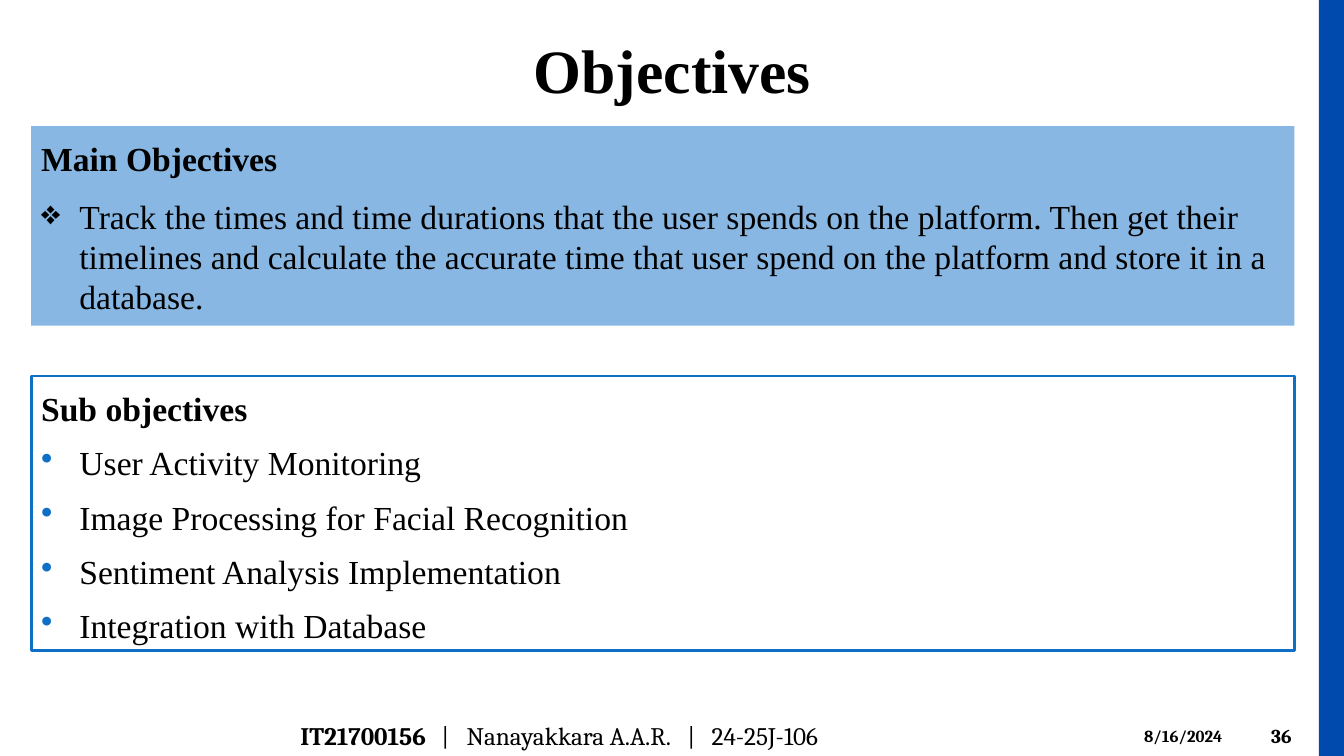
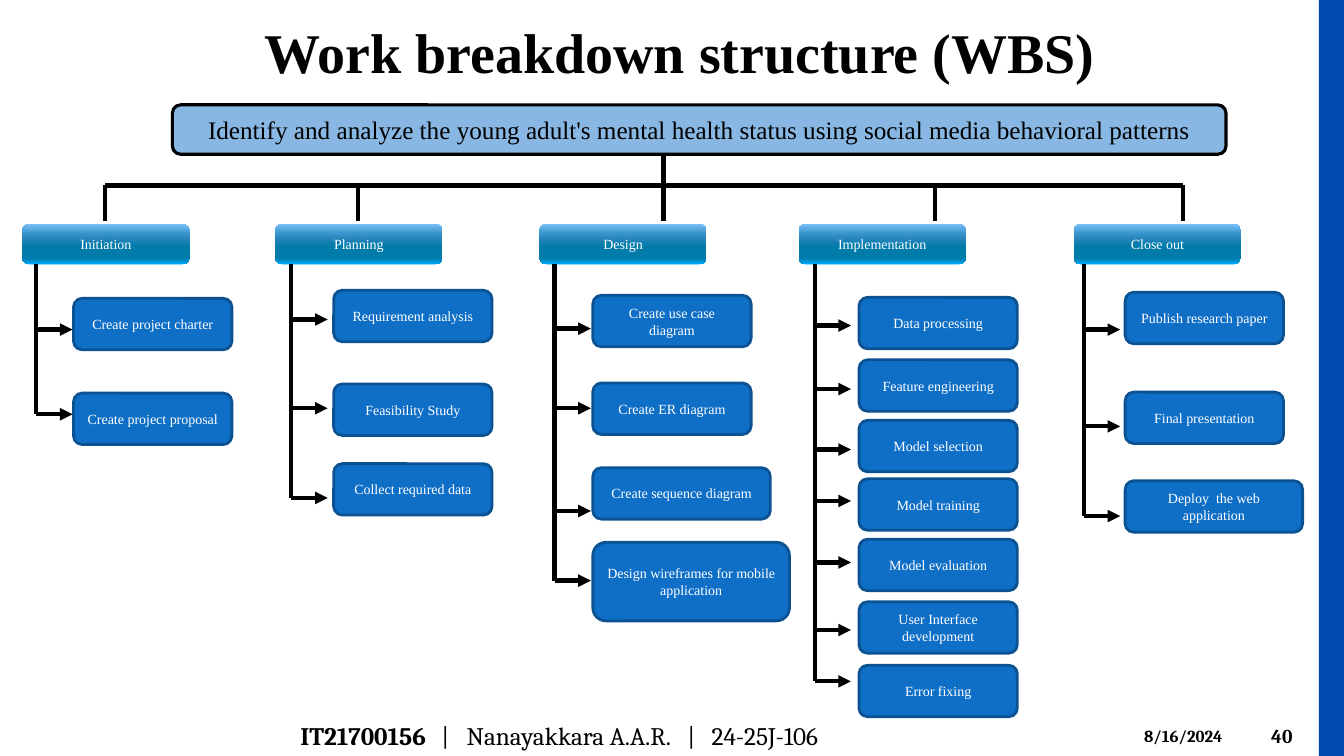
"""Build the objectives and work breakdown structure slides."""
from lxml import etree
from pptx import Presentation
from pptx import util as u
from pptx.dml.color import RGBColor
from pptx.enum import shapes, text
from pptx.oxml.ns import qn

COLORS = {"black": "000000", "white": "FFFFFF", "blue": "0F6FC6",
          "pale": "87B7E2", "edge": "0B5292", "band": "004AAD"}
GLOSS = [(0, "7BC0F9"), (25, "3694CA"), (38, "2685BA"), (55, "007BAA"),
         (80, "007AA9"), (88, "0080B2"), (100, "00ABFC")]
SERIF, FOOT = "Times New Roman", "Cambria"
RECT, ROUND = shapes.MSO_SHAPE.RECTANGLE, shapes.MSO_SHAPE.ROUNDED_RECTANGLE
TOP, MIDDLE = text.MSO_ANCHOR.TOP, text.MSO_ANCHOR.MIDDLE
CENTER = text.PP_ALIGN.CENTER

DATE = "8/16/2024"
FOOTER = ("IT21700156", "\t|\tNanayakkara A.A.R.\t|\t24-25J-106")
FOOTER_TABS = (1.4, 1.65, 3.84, 4.08)

PANELS = [
    {"at": (0.31, 1.25, 12.53, 1.98), "fill": "pale", "line": None,
     "heading": "Main Objectives", "bullet": "❖", "bullet_color": "black",
     "pitch": 28.6, "before": 4.9,
     "items": ["Track the times and time durations that the user spends on the platform. "
               "Then get their timelines and calculate the accurate time that user spend "
               "on the platform and store it in a database."]},
    {"at": (0.31, 3.73, 12.53, 2.72), "fill": "white", "line": "blue",
     "heading": "Sub objectives", "bullet": "•", "bullet_color": "blue",
     "pitch": 30.8, "before": 0,
     "items": ["User Activity Monitoring", "Image Processing for Facial Recognition",
               "Sentiment Analysis Implementation", "Integration with Database"]},
]

PROJECT = ("Identify and analyze the young adult's mental health status "
           "using social media behavioral patterns")
LEAF_SIZE = (1.57, 0.51)
HEAD_TOP, HEAD_SIZE = 2.22, (1.66, 0.4)
BUS_TOP, DROP_END, ARROW = 1.84, 2.19, 0.36
TRUNK_LEFT, TRUNK_TOP = 6.58, 1.54
PHASES = [
    {"name": "Initiation", "left": 0.22, "drop": 1.04, "stem": 0.36, "leaf_left": 0.73,
     "leaves": [("Create project charter", 2.96, 3.27), ("Create project proposal", 3.9, 4.11)]},
    {"name": "Planning", "left": 2.73, "drop": 3.55, "stem": 2.89, "leaf_left": 3.31,
     "leaves": [("Requirement analysis", 2.88, 3.17), ("Feasibility Study", 3.81, 4.05),
                ("Collect required data", 4.6, 4.94)]},
    {"name": "Design", "left": 5.35, "drop": 6.58, "stem": 5.5, "leaf_left": 5.88,
     "leaves": [("Create use case diagram", 2.93, 3.26), ("Create ER diagram", 3.8, 4.05),
                ("Create sequence diagram", 4.64, 5.07, (1.76, 0.51)),
                ("Design wireframes for mobile application", 5.38, 5.76, (1.95, 0.78))]},
    {"name": "Implementation", "left": 7.92, "drop": 9.27, "stem": 8.08, "leaf_left": 8.52,
     "leaves": [("Data processing", 2.95, 3.23), ("Feature engineering", 3.57, 3.86),
                ("Model selection", 4.17, 4.46), ("Model training", 4.75, 4.97),
                ("Model evaluation", 5.35, 5.58), ("User Interface development", 5.97, 6.25),
                ("Error fixing", 6.6, 6.76)]},
    {"name": "Close out", "left": 10.65, "drop": 11.73, "stem": 10.75, "leaf_left": 11.16,
     "leaves": [("Publish research paper", 2.9, 3.27), ("Final presentation", 3.89, 4.23),
                ("Deploy  the web application", 4.77, 5.12, (1.76, 0.51))]},
]


def rgb(name):
    return RGBColor.from_string(COLORS[name])


def inches(values):
    return [u.Inches(value) for value in values]


def style(font, size, name=SERIF, color="black", bold=False):
    font.size, font.name, font.bold = u.Pt(size), name, bold
    font.color.rgb = rgb(color)


def add_box(slide, at, fill=None, line=None, width=2, kind=RECT):
    box = slide.shapes.add_shape(kind, *inches(at))
    box.shadow.inherit = False
    if fill:
        box.fill.solid()
        box.fill.fore_color.rgb = rgb(fill)
    if line:
        box.line.color.rgb = rgb(line)
        box.line.width = u.Pt(width)
    else:
        box.line.fill.background()
    return box


def write_centered(box, words, size, color):
    box.text_frame.word_wrap = True
    box.text_frame.vertical_anchor = MIDDLE
    para = box.text_frame.paragraphs[0]
    para.text, para.alignment = words, CENTER
    style(para.font, size, color=color)


def add_gloss(box):
    box.fill.gradient()
    box.fill.gradient_angle = 270
    stops = box._element.spPr.find(".//" + qn("a:gsLst"))
    for stop in list(stops):
        stops.remove(stop)
    for percent, color in GLOSS:
        stop = etree.SubElement(stops, qn("a:gs"), pos=str(percent * 1000))
        etree.SubElement(stop, qn("a:srgbClr"), val=color)


def add_line(slide, start, end, arrow=False):
    line = slide.shapes.add_connector(shapes.MSO_CONNECTOR.STRAIGHT, *inches(start + end))
    line.line.color.rgb = rgb("black")
    line.line.width = u.Pt(3)
    if arrow:
        etree.SubElement(line.line._get_or_add_ln(), qn("a:tailEnd"), type="triangle")
    etree.SubElement(line._element.spPr, qn("a:effectLst"))


def add_bullet(para, mark, color):
    props = para._p.get_or_add_pPr()
    props.set("marL", str(u.Inches(0.38)))
    props.set("indent", str(-u.Inches(0.38)))
    tint = etree.SubElement(props, qn("a:buClr"))
    etree.SubElement(tint, qn("a:srgbClr"), val=COLORS[color])
    etree.SubElement(props, qn("a:buChar"), char=mark)


def add_label(slide, at, words, size):
    frame = slide.shapes.add_textbox(*inches(at)).text_frame
    frame.word_wrap = True
    frame.vertical_anchor = MIDDLE
    para = frame.paragraphs[0]
    para.text = words
    style(para.font, size, FOOT, bold=True)
    return para


def add_footer(slide):
    para = add_label(slide, (2.88, 7.1, 7.45, 0.4), FOOTER[0], 18)
    stops = etree.Element(qn("a:tabLst"))
    for position in FOOTER_TABS:
        etree.SubElement(stops, qn("a:tab"), pos=str(u.Inches(position)), algn="l")
    para._p.get_or_add_pPr().insert(0, stops)
    span = para.add_run()
    span.text = FOOTER[1]
    span.font.bold = False


def add_page(deck, title, at, size, number, spacing=1.0):
    slide = deck.slides.add_slide(deck.slide_layouts[5])
    heading = slide.shapes.title
    heading.left, heading.top, heading.width, heading.height = inches(at)
    frame = heading.text_frame
    frame.auto_size = text.MSO_AUTO_SIZE.NONE
    frame.vertical_anchor = MIDDLE
    para = frame.paragraphs[0]
    para.text, para.alignment, para.line_spacing = title, CENTER, spacing
    style(para.font, size, bold=True)
    add_label(slide, (12.51, 7.1, 0.74, 0.4), number, 14)
    add_label(slide, (11.25, 7.15, 1.17, 0.3), DATE, 12)
    add_footer(slide)
    add_box(slide, (13.08, -0.12, 1.33, 7.75), "band")
    return slide


def add_panel(slide, panel):
    frame = add_box(slide, panel["at"], panel["fill"], panel["line"]).text_frame
    frame.word_wrap = True
    frame.vertical_anchor = TOP
    frame.margin_top = u.Inches(0.09)
    for index, words in enumerate([panel["heading"], *panel["items"]]):
        para = frame.add_paragraph() if index else frame.paragraphs[0]
        para.text = words
        para.alignment = text.PP_ALIGN.LEFT
        if index:
            add_bullet(para, panel["bullet"], panel["bullet_color"])
            para.space_before = u.Pt(panel["before"])
        para.line_spacing = u.Pt(panel["pitch"] if index else 30.8)
        para.space_after = u.Pt(8)
        style(para.font, 24, bold=not index)


def add_phase(slide, phase):
    head = add_box(slide, (phase["left"], HEAD_TOP, *HEAD_SIZE), kind=ROUND)
    add_gloss(head)
    write_centered(head, phase["name"], 10, "white")
    add_line(slide, (phase["drop"], BUS_TOP), (phase["drop"], DROP_END))
    stem = phase["stem"]
    for words, top, level, *size in phase["leaves"]:
        width, height = size[0] if size else LEAF_SIZE
        leaf = add_box(slide, (phase["leaf_left"], top, width, height), "blue", "edge", kind=ROUND)
        write_centered(leaf, words, 10, "white")
        add_line(slide, (stem, level), (stem + ARROW, level), arrow=True)
    add_line(slide, (stem, HEAD_TOP + HEAD_SIZE[1]), (stem, phase["leaves"][-1][2]))


def main():
    deck = Presentation()
    deck.slide_width, deck.slide_height = inches((13.33, 7.5))

    objectives = add_page(deck, "Objectives", (0.28, 0.21, 12.78, 0.95), 44, "36")
    for panel in PANELS:
        add_panel(objectives, panel)

    breakdown = add_page(deck, "Work breakdown structure (WBS)",
                         (0.35, 0.02, 12.78, 0.87), 40, "40", 1.16)
    banner = add_box(breakdown, (1.71, 1.04, 10.45, 0.49), "pale", "black", 2.25, ROUND)
    write_centered(banner, PROJECT, 18, "black")
    add_line(breakdown, (TRUNK_LEFT, TRUNK_TOP), (TRUNK_LEFT, BUS_TOP))
    add_line(breakdown, (PHASES[0]["drop"], BUS_TOP), (PHASES[-1]["drop"], BUS_TOP))
    for phase in PHASES:
        add_phase(breakdown, phase)

    deck.save("out.pptx")


if __name__ == "__main__":
    main()
